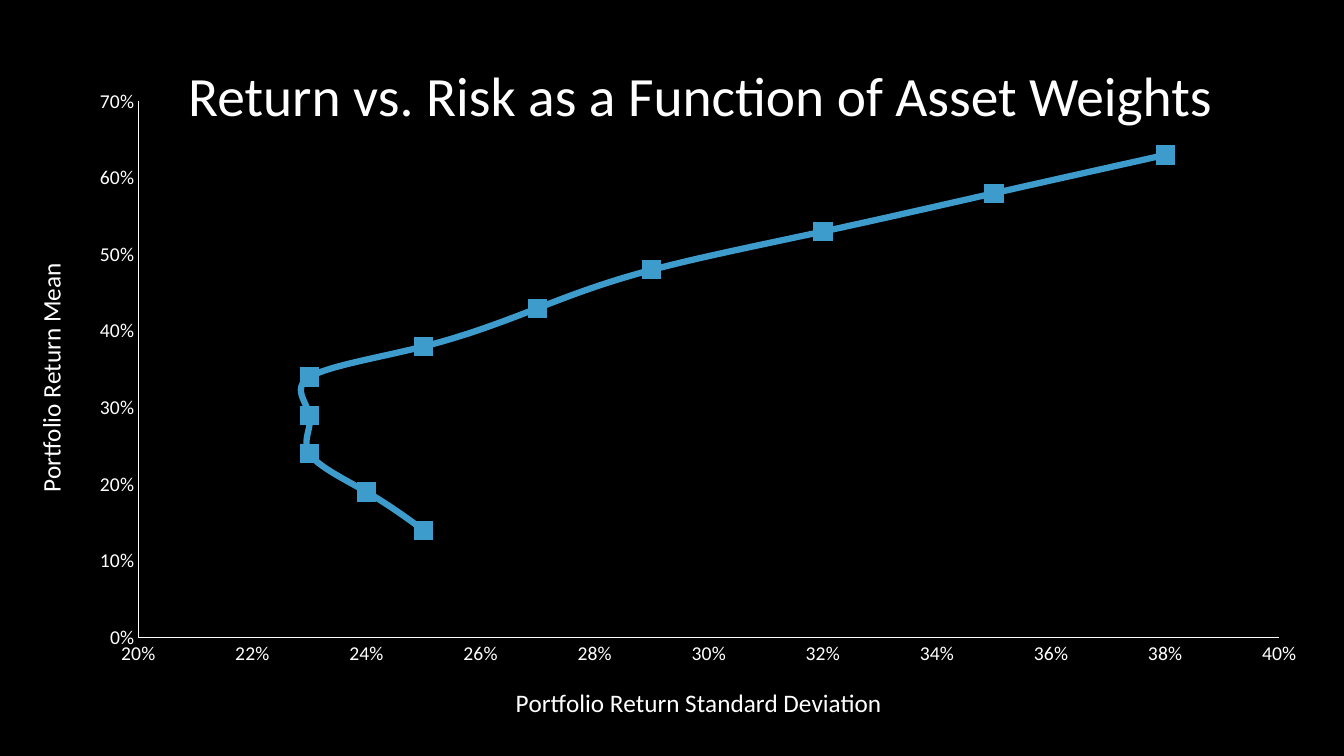
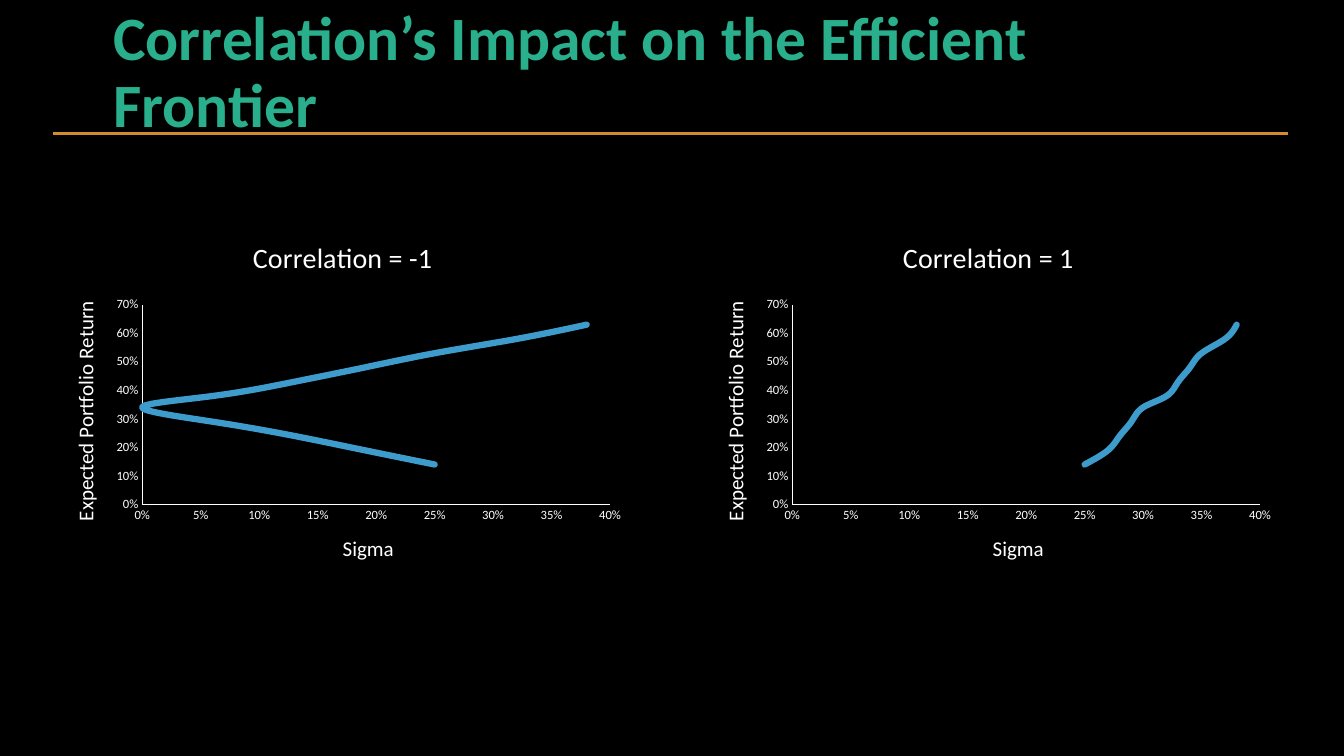
from math import sqrt

from lxml import etree
from pptx import Presentation
from pptx import util as u
from pptx.chart import data as chart_data
from pptx.dml import color
from pptx.enum import chart as chart_types, shapes, text
from pptx.oxml import ns

FONT = "Calibri"
BLACK, WHITE = "000000", "FFFFFF"
BLUE, GREEN, ORANGE = "3D9CCC", "29AF8C", "D58C2E"
STEPS = 10
LOW_RETURN, HIGH_RETURN = 0.142, 0.627
LOW_RISK, HIGH_RISK = 0.253, 0.38


def rgb(value):
    return color.RGBColor.from_string(value)


def box(left, top, width, height):
    return u.Cm(left), u.Cm(top), u.Cm(width), u.Cm(height)


def style_font(font, size, fill=WHITE, bold=False):
    font.name = FONT
    font.size = u.Pt(size)
    font.bold = bold
    font.color.rgb = rgb(fill)


def write(frame, words, size, fill=WHITE, bold=False):
    paragraph = frame.paragraphs[0]
    run = paragraph.add_run()
    run.text = words
    style_font(run.font, size, fill, bold)
    return paragraph


def portfolio_points(correlation):
    points = []
    for step in range(STEPS, -1, -1):
        weight = step / STEPS
        high, low = weight * HIGH_RISK, (1 - weight) * LOW_RISK
        variance = high ** 2 + low ** 2 + 2 * correlation * high * low
        mean = LOW_RETURN + weight * (HIGH_RETURN - LOW_RETURN)
        points.append((round(sqrt(max(variance, 0)), 2), round(mean, 2)))
    return points


def place(element, percentages, layout_index, inner=False):
    layout = element.find(ns.qn("c:layout"))
    if layout is None:
        layout = etree.Element(ns.qn("c:layout"))
        element.insert(layout_index, layout)
    manual = etree.SubElement(layout, ns.qn("c:manualLayout"))
    settings = [("layoutTarget", "inner")] if inner else []
    settings += [("xMode", "edge"), ("yMode", "edge")]
    settings += [(name, value / 100) for name, value in zip("xywh", percentages)]
    for name, value in settings:
        etree.SubElement(manual, ns.qn("c:" + name)).set("val", str(value))


def add_chart_title(title, words, size, position, rotation=0):
    write(title.text_frame, words, size)
    element = title._element
    body = element.find(".//" + ns.qn("a:bodyPr"))
    body.set("rot", str(rotation * 60000))
    place(element, position, 1)


def style_axis(axis, limits, size):
    axis.minimum_scale, axis.maximum_scale, axis.major_unit = limits
    axis.has_major_gridlines = False
    axis.major_tick_mark = chart_types.XL_TICK_MARK.NONE
    axis.minor_tick_mark = chart_types.XL_TICK_MARK.NONE
    axis.tick_labels.number_format = "0%"
    axis.tick_labels.number_format_is_linked = False
    style_font(axis.tick_labels.font, size)
    axis.format.line.color.rgb = rgb(WHITE)
    axis.format.line.width = u.Pt(0.75)


def style_curve(series, markers):
    series.format.line.color.rgb = rgb(BLUE)
    series.format.line.width = u.Pt(4.5)
    element = series._element
    element.find(".//" + ns.qn("a:ln")).set("cap", "rnd")
    smooth = element.find(ns.qn("c:smooth"))
    if smooth is None:
        smooth = etree.SubElement(element, ns.qn("c:smooth"))
    smooth.set("val", "1")
    if markers:
        series.marker.style = chart_types.XL_MARKER_STYLE.SQUARE
        series.marker.size = 13
        series.marker.format.fill.solid()
        series.marker.format.fill.fore_color.rgb = rgb(BLUE)
        series.marker.format.line.color.rgb = rgb(BLUE)


def add_frontier(slide, area, correlation, risk_limits, plot, tick_size,
                 axis_titles, title_size, title_places, markers=False):
    data = chart_data.XyChartData(number_format="0%")
    series_data = data.add_series("Series 1")
    for risk, mean in portfolio_points(correlation):
        series_data.add_data_point(risk, mean)
    kinds = chart_types.XL_CHART_TYPE
    kind = kinds.XY_SCATTER_SMOOTH if markers else kinds.XY_SCATTER_SMOOTH_NO_MARKERS
    chart = slide.shapes.add_chart(kind, *area, data).chart
    chart.has_legend = False
    chart.has_title = False
    style_font(chart.font, 10)
    chart.plots[0].vary_by_categories = False
    style_curve(chart.plots[0].series[0], markers)
    axes = (chart.category_axis, chart.value_axis)
    limits = (risk_limits, (0, 0.7, 0.1))
    for axis, limit, words, position, rotation in zip(
            axes, limits, axis_titles, title_places, (0, -90)):
        style_axis(axis, limit, tick_size)
        add_chart_title(axis.axis_title, words, title_size, position, rotation)
    plot_area = chart._chartSpace.find(".//" + ns.qn("c:plotArea"))
    place(plot_area, plot, 0, inner=True)
    return chart


def add_title_slide(presentation, words, area, size, fill, bold=False):
    slide = presentation.slides.add_slide(presentation.slide_layouts[5])
    title = slide.shapes.title
    title.left, title.top, title.width, title.height = area
    frame = title.text_frame
    frame.word_wrap = True
    frame.auto_size = text.MSO_AUTO_SIZE.NONE
    frame.vertical_anchor = text.MSO_ANCHOR.MIDDLE
    paragraph = write(frame, words, size, fill, bold)
    paragraph.alignment = text.PP_ALIGN.LEFT
    paragraph.line_spacing = 0.9
    paragraph.space_before = u.Pt(0)
    return slide


def add_rule(slide, left, top, width):
    line = slide.shapes.add_connector(
        shapes.MSO_CONNECTOR.STRAIGHT,
        u.Cm(left), u.Cm(top), u.Cm(left + width), u.Cm(top))
    line.line.color.rgb = rgb(ORANGE)
    line.line.width = u.Pt(2.25)
    etree.SubElement(line._element.spPr, ns.qn("a:effectLst"))


def build_risk_slide(presentation):
    slide = add_title_slide(
        presentation, "Return vs. Risk as a Function of Asset Weights",
        box(4.49, 1.3, 27.53, 2.36), 39.6, WHITE)
    add_frontier(
        slide, box(0.58, 1.32, 32.49, 17.02), 0.175, (0.2, 0.4, 0.02),
        (8.95, 7.25, 88.5, 79.4), 14,
        ("Portfolio Return Standard Deviation", "Portfolio Return Mean"), 18,
        ((37.85, 93), (0.45, 30.55)), markers=True)


def build_correlation_slide(presentation):
    slide = add_title_slide(
        presentation, "Correlation’s Impact on the Efficient Frontier",
        box(2.6, 0.43, 28.85, 2.87), 44, GREEN, bold=True)
    for column, correlation in enumerate((-1, 1)):
        chart = add_frontier(
            slide, box(1.22 + column * 16.38, 5.69, 14.7, 9.04), correlation,
            (0, 0.4, 0.05), (16.1, 22, 80.2, 55.7), 9,
            ("Sigma", "Expected Portfolio Return"), 15,
            ((49.8, 84.8), (3.2, 20)))
        add_chart_title(chart.chart_title, f"Correlation = {correlation}", 20,
                        (34.2, 1.9))
    add_rule(slide, 1.33, 3.36, 31.12)


def main():
    presentation = Presentation()
    presentation.slide_width = u.Cm(33.87)
    presentation.slide_height = u.Cm(19.05)
    background = presentation.slide_master.background.fill
    background.solid()
    background.fore_color.rgb = rgb(BLACK)
    build_risk_slide(presentation)
    build_correlation_slide(presentation)
    presentation.save("out.pptx")


if __name__ == "__main__":
    main()
